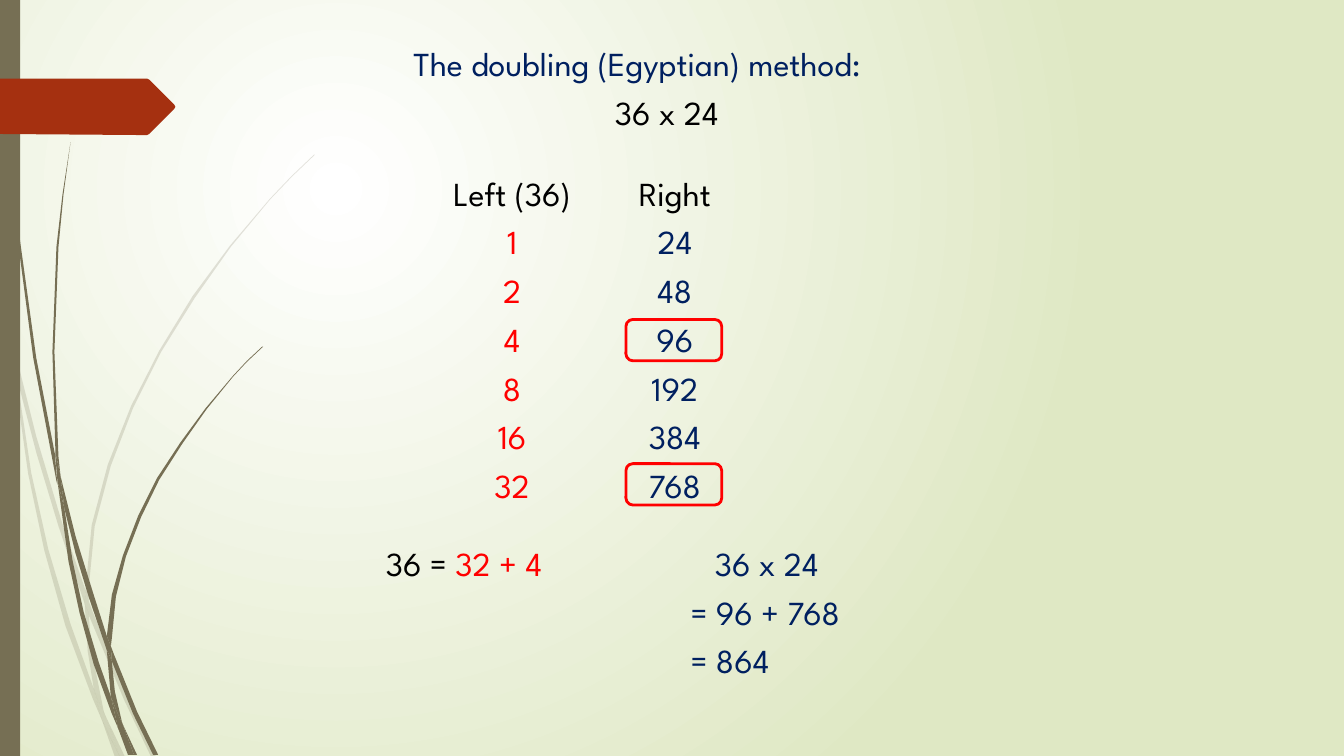
import pptx
import pptx.dml.color
import pptx.enum.shapes
import pptx.enum.text
import pptx.oxml
import pptx.oxml.ns
import pptx.util

Pt = pptx.util.Pt
SHAPES = pptx.enum.shapes.MSO_SHAPE
ALIGN = pptx.enum.text.PP_ALIGN

FONT = "League Spartan"
NAVY, RED, BLACK = "002060", "FF0000", "000000"
OLIVE, RUST = "766F54", "A53010"

# Outlines are drawn on a fine grid with this step.
GRID = Pt(0.72)
PALE_GRASS = [
    [(11, 350), (9, 322), (0, 282), (0, 299), (10, 344)],
    [(58, 522), (84, 599), (85, 586), (62, 520), (36, 433), (14, 345),
     (17, 376), (36, 449)],
    [(92, 607), (88, 596), (88, 610), (123, 694), (150, 751), (155, 751),
     (127, 692)],
    [(119, 751), (124, 751), (105, 711)],
    [(93, 683), (70, 619), (48, 545), (31, 469), (17, 376), (11, 350),
     (28, 470), (44, 546), (65, 621), (92, 693), (101, 714), (99, 707)],
    [(84, 599), (87, 646), (93, 683), (96, 692), (105, 711), (103, 706),
     (91, 646), (88, 610), (88, 608)],
    [(88, 584), (94, 522), (110, 462), (132, 405), (160, 349), (193, 296),
     (229, 245), (268, 198), (290, 175), (312, 154), (312, 153), (289, 175),
     (268, 197), (228, 244), (191, 294), (158, 348), (130, 403), (107, 461),
     (91, 521), (85, 584), (85, 586), (88, 596)],
    [(101, 714), (114, 751), (119, 751)],
    [(88, 608), (88, 610), (88, 596), (85, 586), (84, 599)],
    [(96, 692), (93, 683), (99, 707), (101, 714), (119, 751), (105, 711)],
]
DARK_GRASS = [
    [(7, 110), (17, 233), (33, 355), (56, 477), (57, 481), (55, 457),
     (55, 453), (36, 355), (19, 232), (8, 109), (5, 48), (4, 0), (3, 0),
     (4, 48)],
    [(88, 592), (106, 645), (106, 633), (106, 631), (93, 590), (75, 532),
     (60, 472), (64, 505), (75, 549)],
    [(113, 649), (110, 641), (111, 656), (132, 708), (152, 749), (157, 749),
     (136, 706)],
    [(110, 691), (98, 657), (83, 607), (72, 556), (64, 505), (57, 477),
     (68, 557), (79, 608), (93, 659), (111, 708), (117, 722), (116, 717)],
    [(60, 472), (58, 453), (54, 349), (58, 245), (63, 193), (70, 141),
     (62, 193), (56, 245), (52, 349), (55, 449)],
    [(133, 749), (136, 749), (122, 719)],
    [(57, 477), (64, 505), (60, 472), (55, 449), (55, 453)],
    [(111, 633), (115, 592), (125, 552), (140, 513), (158, 476), (181, 440),
     (205, 406), (231, 374), (245, 359), (261, 344), (260, 344), (245, 358),
     (231, 373), (204, 405), (179, 439), (156, 474), (137, 512), (122, 551),
     (111, 590), (106, 631), (110, 641)],
    [(117, 722), (127, 749), (131, 749)],
    [(106, 645), (110, 691), (116, 706), (122, 719), (121, 716), (114, 686),
     (111, 656), (109, 651)],
    [(106, 645), (109, 651), (111, 656), (110, 641), (106, 631), (106, 633)],
    [(116, 706), (110, 691), (116, 717), (117, 722), (130, 749), (133, 749),
     (122, 719)],
]
FLAG = [(173, 108), (148, 133), (146, 134), (136, 134), (0, 133), (0, 78),
        (136, 78), (146, 78), (148, 79), (173, 104), (174, 106)]


def rgb(hex_text):
    return pptx.dml.color.RGBColor.from_string(hex_text)


def set_background(s):
    """Radial gradient centred a quarter of the way across and down."""
    fill = s.background.fill
    fill.gradient()
    for stop, position, color in zip(fill.gradient_stops, (0, 1), ("FFFFFF", "DFE8C4")):
        stop.position = position
        stop.color.rgb = rgb(color)
    grad = s.background._cSld.find(".//" + pptx.oxml.ns.qn("a:gradFill"))
    grad.remove(grad.find(pptx.oxml.ns.qn("a:lin")))
    grad.append(pptx.oxml.parse_xml(
        f'<a:path {pptx.oxml.ns.nsdecls("a")} path="circle">'
        '<a:fillToRect l="50000" t="50000" r="100000" b="100000"/></a:path>'))


def paint(sp, color, opacity=100):
    sp.shadow.inherit = False
    sp.line.fill.background()
    sp.fill.solid()
    sp.fill.fore_color.rgb = rgb(color)
    if opacity < 100:
        clr = sp.fill._xPr.find(".//" + pptx.oxml.ns.qn("a:srgbClr"))
        clr.append(pptx.oxml.parse_xml(
            f'<a:alpha {pptx.oxml.ns.nsdecls("a")} val="{opacity * 1000}"/>'))


def add_outline(s, points, color, opacity=100):
    builder = s.shapes.build_freeform(*points[0], scale=GRID)
    builder.add_line_segments(points[1:], close=True)
    paint(builder.convert_to_shape(), color, opacity)


def add_side_bar(s):
    paint(s.shapes.add_shape(SHAPES.RECTANGLE, 0, 0, Pt(14.4), Pt(540)), OLIVE)


def add_ring(s, x, y, w, h):
    sp = s.shapes.add_shape(SHAPES.ROUNDED_RECTANGLE, Pt(x), Pt(y), Pt(w), Pt(h))
    sp.shadow.inherit = False
    sp.fill.background()
    sp.line.color.rgb = rgb(RED)
    sp.line.width = Pt(2)


def write(tf, lines, align=ALIGN.LEFT, indents=()):
    """Fill a frame; each line is a list of (text, colour) runs."""
    tf.word_wrap = True
    tf.auto_size = pptx.enum.text.MSO_AUTO_SIZE.SHAPE_TO_FIT_TEXT
    tf.vertical_anchor = pptx.enum.text.MSO_ANCHOR.TOP
    for i, runs in enumerate(lines):
        p = tf.paragraphs[0] if i == 0 else tf.add_paragraph()
        p.alignment = align
        if i < len(lines) - 1:
            p.space_after = Pt(6)
        if indents:
            p._p.get_or_add_pPr().set("marL", str(Pt(indents[i])))
        for text, color in runs:
            r = p.add_run()
            r.text = text
            r.font.name = FONT
            r.font.size = Pt(24)
            r.font.color.rgb = rgb(color)


def add_text(s, x, y, w, h, lines, **layout):
    sp = s.shapes.add_textbox(Pt(x), Pt(y), Pt(w), Pt(h))
    write(sp.text_frame, lines, **layout)


def add_column(s, x, w, heading, numbers, color):
    lines = [[(heading, BLACK)]] + [[(str(n), color)] for n in numbers]
    add_text(s, x, 119.8, w, 247, lines, align=ALIGN.CENTER)


def add_title(s):
    title = s.shapes.title
    title.left, title.top, title.width, title.height = Pt(288), Pt(26.9), Pt(493), Pt(71.3)
    write(title.text_frame,
          [[("The doubling (Egyptian) method:", NAVY)], [("36 x 24", BLACK)]],
          indents=(0, 144))


def main():
    prs = pptx.Presentation()
    prs.slide_width, prs.slide_height = Pt(960), Pt(540)
    s = prs.slides.add_slide(prs.slide_layouts[5])
    set_background(s)

    for grass, opacity in ((PALE_GRASS, 20), (DARK_GRASS, 100)):
        for points in grass:
            add_outline(s, points, OLIVE, opacity)
    add_side_bar(s)
    add_outline(s, FLAG, RUST)

    add_title(s)
    powers = [2 ** n for n in range(6)]
    add_column(s, 308.2, 115.2, "Left (36)", powers, RED)
    add_column(s, 439.2, 85.7, "Right", [24 * n for n in powers], NAVY)
    add_text(s, 268.6, 384.1, 155.5, 36, [[("36 = ", BLACK), ("32 + 4", RED)]])
    add_text(s, 480.2, 384.1, 288, 106.6,
             [[(text, NAVY)] for text in ("36 x 24", "= 96 + 768", "= 864")],
             indents=(23.3, 6, 6))
    for y in (331.2, 228.2):
        add_ring(s, 447.1, y, 68.4, 29.5)

    prs.save("out.pptx")


if __name__ == "__main__":
    main()
